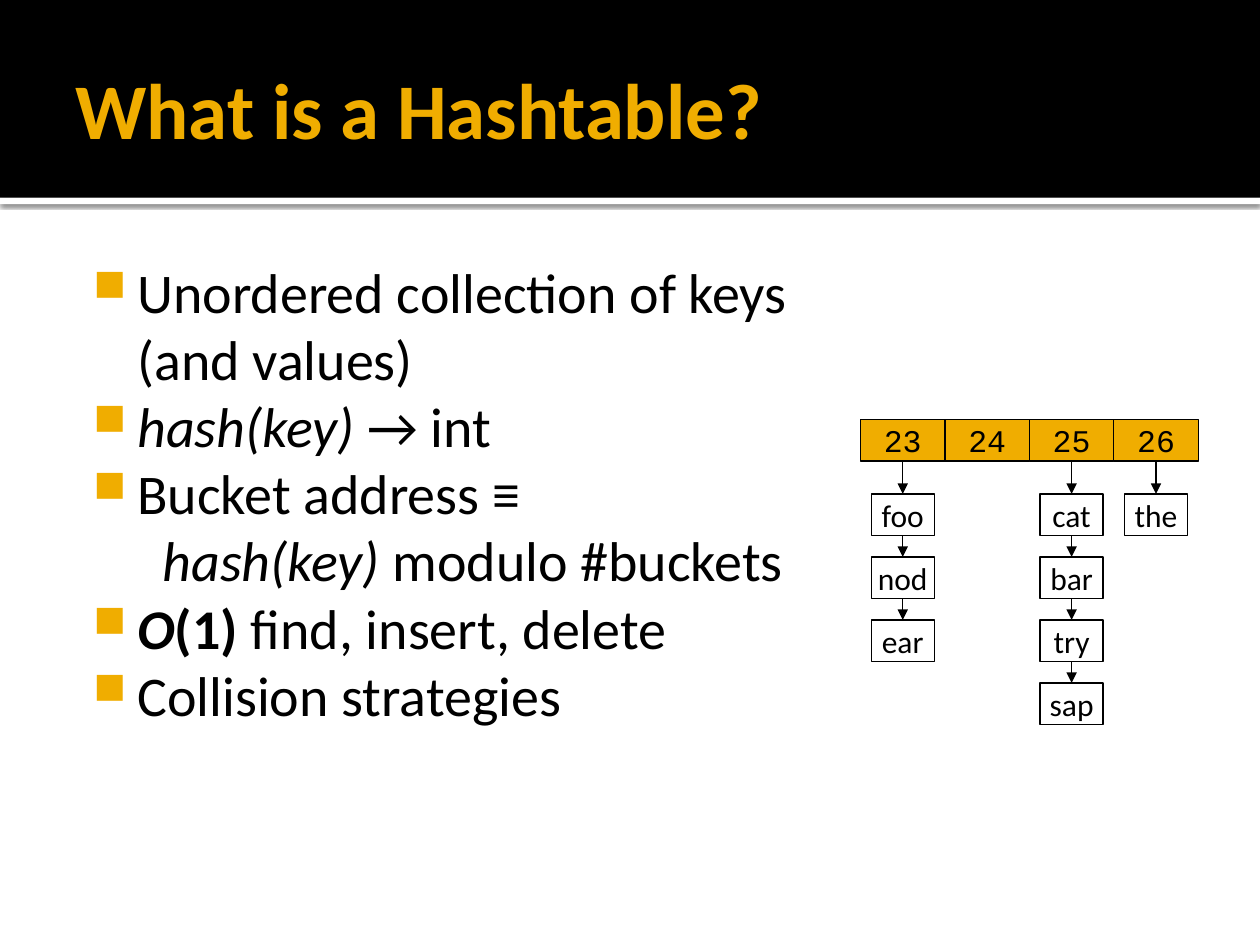
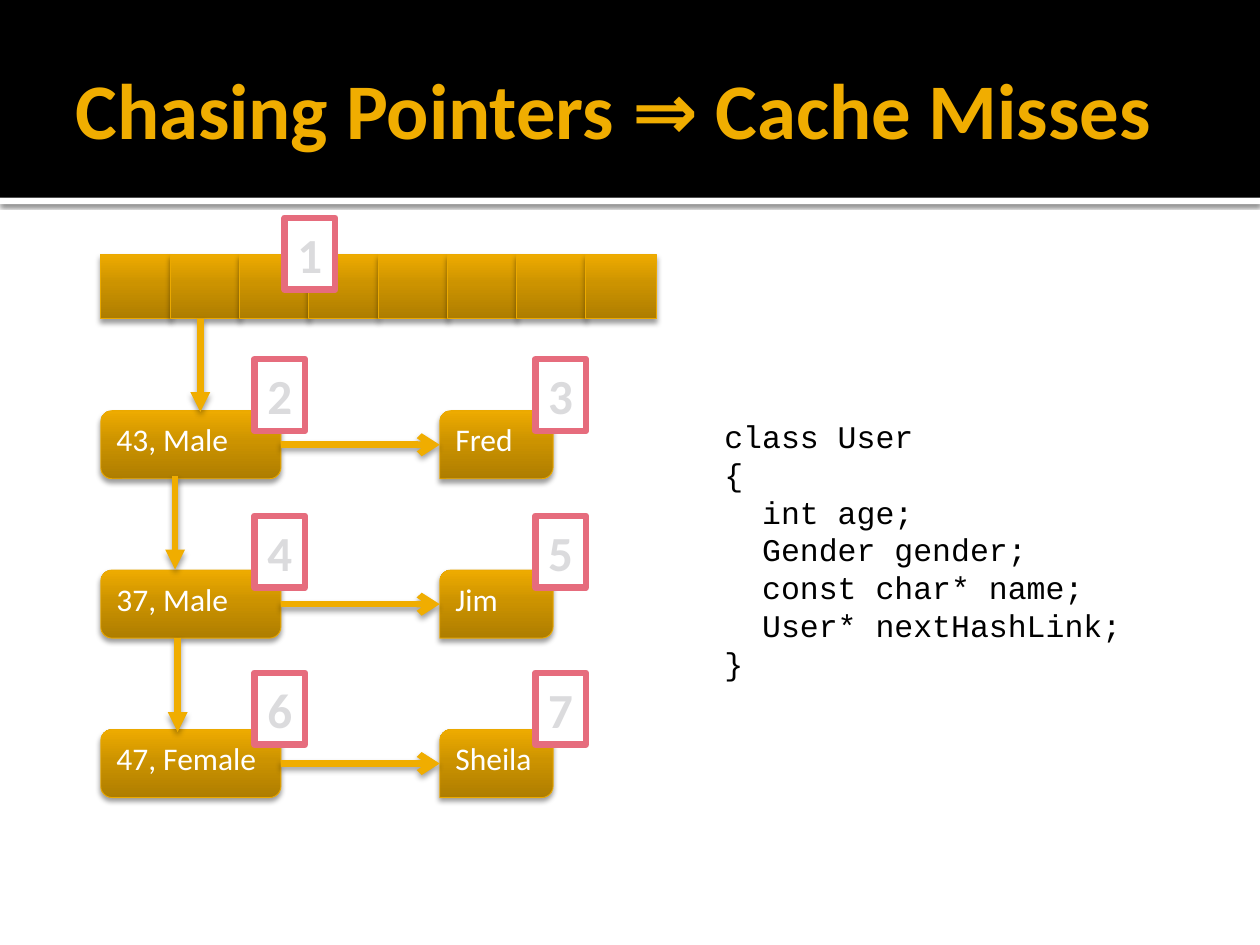
from copy import deepcopy

from pptx import Presentation
from pptx.dml.color import RGBColor
from pptx.enum.shapes import MSO_CONNECTOR as Connector, MSO_SHAPE as Shape
from pptx.enum.text import MSO_ANCHOR as Anchor, MSO_AUTO_SIZE as AutoSize, PP_ALIGN as Align
from pptx.oxml import parse_xml
from pptx.oxml.ns import nsdecls, qn
from pptx.util import Inches, Pt

GOLD, BLACK, WHITE = "F0AD00", "000000", "FFFFFF"
GOLD_EDGE, PINK, PALE_GREY, SLATE = "EBA900", "E66C7D", "DBDBDD", "526080"
GOLD_GRADIENT = [(0, "AE7D00"), (0.55, "CC9300"), (1, "EEAB00")]
SANS, MONO = "Calibri", "Courier New"
BAND_SHADOW = (60, 2.5, 0.8)
BOX_SHADOW = (38, 3.1, 2)
ARROW_SHADOW = (38, 3.5, 2)

HASHTABLE_TITLE = "What is a Hashtable?"
HASHTABLE_POINTS = [
    (True, [("Unordered collection of keys (and values)", "")]),
    (True, [("hash(key) ", "i"), ("→ int", "")]),
    (True, [("Bucket address ≡", "")]),
    (False, [("hash(key) ", "i"), ("modulo #buckets", "")]),
    (True, [("O", "bi"), ("(1) ", "b"), ("find, insert, delete", "")]),
    (True, [("Collision strategies", "")]),
]
BUCKETS = [
    ("23", ["foo", "nod", "ear"]),
    ("24", []),
    ("25", ["cat", "bar", "try", "sap"]),
    ("26", ["the"]),
]

POINTERS_TITLE = "Chasing Pointers ⇒ Cache Misses"
USERS = [("43, Male", "Fred"), ("37, Male", "Jim"), ("47, Female", "Sheila")]
LINKS = [(1.59, 2.53, 3.27), (1.39, 3.78, 4.52), (1.41, 5.06, 5.81)]
ARRAY_CELLS = 8
USER_CLASS = """class User
{
  int age;
  Gender gender;
  const char* name;
  User* nextHashLink;
}"""


def color(hex_string):
    return RGBColor.from_string(hex_string)


def set_effects(shape, shadow=None):
    effects = parse_xml(f"<a:effectLst {nsdecls('a')}/>")
    if shadow:
        opacity, blur, distance = shadow
        effects.append(parse_xml(
            f'<a:outerShdw {nsdecls("a")} blurRad="{Pt(blur)}" dist="{Pt(distance)}" '
            f'dir="5400000" algn="ctr" rotWithShape="0"><a:srgbClr val="{BLACK}">'
            f'<a:alpha val="{opacity * 1000}"/></a:srgbClr></a:outerShdw>'))
    shape.element.spPr.append(effects)


def set_fill(shape, fill):
    if fill is None:
        shape.fill.background()
    elif isinstance(fill, str):
        shape.fill.solid()
        shape.fill.fore_color.rgb = color(fill)
    else:
        shape.fill.gradient()
        shape.fill.gradient_angle = 90
        stop_list = shape.element.spPr.find(qn("a:gradFill")).find(qn("a:gsLst"))
        while len(stop_list) < len(fill):
            stop_list.append(deepcopy(stop_list[0]))
        for stop, (position, hex_string) in zip(shape.fill.gradient_stops, fill):
            stop.position = position
            stop.color.rgb = color(hex_string)


def format_run(run, size, font, hex_string, style=""):
    run.font.size = Pt(size)
    run.font.name = font
    run.font.color.rgb = color(hex_string)
    run.font.bold = "b" in style
    run.font.italic = "i" in style


def set_text(shape, text, size, font=SANS, hex_string=BLACK, style="",
             align=Align.LEFT, anchor=Anchor.TOP, wrap=True):
    frame = shape.text_frame
    frame.text = text
    frame.word_wrap = wrap
    frame.vertical_anchor = anchor
    for paragraph in frame.paragraphs:
        paragraph.alignment = align
        for run in paragraph.runs:
            format_run(run, size, font, hex_string, style)


def set_insets(frame, left, top, right, bottom):
    frame.margin_left, frame.margin_top = Inches(left), Inches(top)
    frame.margin_right, frame.margin_bottom = Inches(right), Inches(bottom)


def add_box(slide, left, top, width, height, fill=None, line=None, line_width=0.75,
            kind=Shape.RECTANGLE, shadow=None):
    shape = slide.shapes.add_shape(
        kind, Inches(left), Inches(top), Inches(width), Inches(height))
    set_fill(shape, fill)
    if line:
        shape.line.color.rgb = color(line)
        shape.line.width = Pt(line_width)
    else:
        shape.line.fill.background()
    set_effects(shape, shadow)
    return shape


def add_gold_box(slide, left, top, width, height, kind=Shape.RECTANGLE):
    return add_box(slide, left, top, width, height, GOLD_GRADIENT, GOLD_EDGE, 0.5,
                   kind, BOX_SHADOW)


def add_text_box(slide, left, top, width, height):
    return slide.shapes.add_textbox(
        Inches(left), Inches(top), Inches(width), Inches(height))


def add_arrow(slide, start=(0, 0), end=(0, 0), hex_string=GOLD, width=3.78,
              head="triangle", shadow=ARROW_SHADOW):
    arrow = slide.shapes.add_connector(
        Connector.STRAIGHT, *[Inches(value) for value in (*start, *end)])
    arrow.line.color.rgb = color(hex_string)
    arrow.line.width = Pt(width)
    arrow.element.spPr.find(qn("a:ln")).append(
        parse_xml(f'<a:tailEnd {nsdecls("a")} type="{head}"/>'))
    set_effects(arrow, shadow)
    return arrow


def join(arrow, source, source_side, target, target_side):
    arrow.begin_connect(source, source_side)
    arrow.end_connect(target, target_side)


def add_titled_slide(presentation, title):
    slide = presentation.slides.add_slide(presentation.slide_layouts[6])
    add_box(slide, 0, 1.57, 10, 0.05, WHITE, shadow=BAND_SHADOW)
    add_box(slide, 0, 0, 10, 1.57, BLACK)
    title_box = add_text_box(slide, 0.5, 0.17, 9.14, 1.37)
    set_text(title_box, title, 45, hex_string=GOLD, style="b", anchor=Anchor.MIDDLE)
    set_insets(title_box.text_frame, 0.1, 0.05, 0.05, 0.05)
    return slide


def add_points(slide, points):
    frame = add_text_box(slide, 0.55, 1.94, 6.2, 5.06).text_frame
    frame.word_wrap = True
    set_insets(frame, 0.06, 0.1, 0.1, 0.05)
    for index, (bulleted, runs) in enumerate(points):
        paragraph = frame.add_paragraph() if index else frame.paragraphs[0]
        for text, style in runs:
            run = paragraph.add_run()
            run.text = text
            format_run(run, 32, SANS, BLACK, style)
        properties = paragraph._p.get_or_add_pPr()
        properties.set("marL", str(Inches(0.48 if bulleted else 0.68)))
        properties.set("indent", str(Inches(-0.35 if bulleted else 0)))
        if bulleted:
            for bullet_part in (f'<a:buClr {nsdecls("a")}><a:srgbClr val="{GOLD}"/></a:buClr>',
                                f'<a:buSzPct {nsdecls("a")} val="80000"/>',
                                f'<a:buChar {nsdecls("a")} char="■"/>'):
                properties.append(parse_xml(bullet_part))


def add_buckets(slide):
    bucket_width, key_width, height = 0.67, 0.5, 0.33
    centered = dict(align=Align.CENTER, anchor=Anchor.MIDDLE, wrap=False)
    for column, (number, keys) in enumerate(BUCKETS):
        left = 6.83 + column * bucket_width
        previous = add_box(slide, left, 3.33, bucket_width, height, GOLD, BLACK)
        set_text(previous, number, 18, MONO, **centered)
        for row, key in enumerate(keys):
            key_box = add_box(slide, left + (bucket_width - key_width) / 2,
                              3.92 + row * 0.5, key_width, height, line=BLACK)
            set_text(key_box, key, 18, **centered)
            arrow = add_arrow(slide, hex_string=BLACK, width=0.75, shadow=None)
            join(arrow, previous, 2, key_box, 0)
            previous = key_box


def add_users(slide):
    for row, (details, name) in enumerate(USERS):
        top = 3.26 + row * 1.265
        user_box = add_gold_box(slide, 0.8, top, 1.43, 0.54, Shape.ROUNDED_RECTANGLE)
        set_text(user_box, details, 18, hex_string=WHITE)
        name_box = add_gold_box(slide, 3.49, top, 0.9, 0.54,
                                Shape.ROUND_2_DIAG_RECTANGLE)
        set_text(name_box, name, 18, hex_string=WHITE)
        join(add_arrow(slide, head="arrow"), user_box, 3, name_box, 1)
    for cell in range(ARRAY_CELLS):
        add_gold_box(slide, 0.8 + cell * 0.55, 2.02, 0.56, 0.51)
    for x, top, bottom in LINKS:
        add_arrow(slide, (x, top), (x, bottom))


def add_miss_numbers(slide):
    places = [(2.26, 1.73)] + [
        (left, 2.85 + row * 1.245) for row in range(len(USERS)) for left in (2.02, 4.25)]
    for number, (left, top) in enumerate(places, start=1):
        badge = add_box(slide, left, top, 0.4, 0.57, WHITE, PINK, 3.78)
        set_text(badge, str(number), 28, hex_string=PALE_GREY, style="b",
                 align=Align.CENTER, wrap=False)
        badge.text_frame.auto_size = AutoSize.SHAPE_TO_FIT_TEXT
        run = badge.text_frame.paragraphs[0].runs[0]
        run._r.get_or_add_rPr().insert(0, parse_xml(
            f'<a:ln {nsdecls("a")} w="{Pt(1)}"><a:solidFill>'
            f'<a:srgbClr val="{SLATE}"/></a:solidFill></a:ln>'))


def main():
    presentation = Presentation()
    presentation.slide_width, presentation.slide_height = Inches(10), Inches(7.5)

    hashtable_slide = add_titled_slide(presentation, HASHTABLE_TITLE)
    add_points(hashtable_slide, HASHTABLE_POINTS)
    add_buckets(hashtable_slide)

    pointers_slide = add_titled_slide(presentation, POINTERS_TITLE)
    add_users(pointers_slide)
    add_miss_numbers(pointers_slide)
    set_text(add_text_box(pointers_slide, 5.65, 3.26, 3.79, 2.22), USER_CLASS, 18, MONO)

    presentation.save("out.pptx")


if __name__ == "__main__":
    main()
